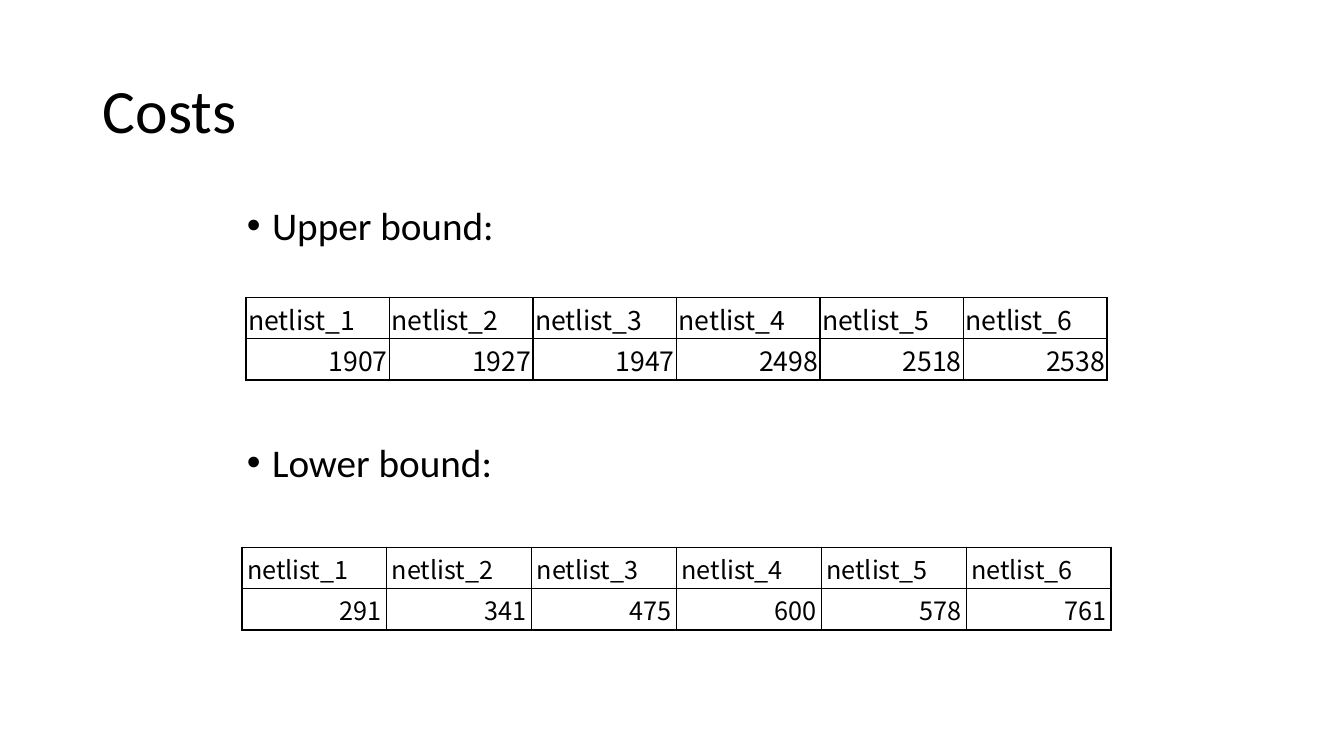
from lxml import etree
from pptx import Presentation
from pptx.dml.color import RGBColor
from pptx.enum import text
from pptx.oxml import ns
from pptx.util import Inches, Pt

BLACK = RGBColor(0, 0, 0)
WHITE = RGBColor(255, 255, 255)
TEXT_FONT = "Calibri"
TABLE_FONT = "Noto Sans CJK SC"
BORDER_WIDTH = Pt(1)
ROW_HEIGHT = 0.41

UPPER_COSTS = [1907, 1927, 1947, 2498, 2518, 2538]
LOWER_COSTS = [291, 341, 475, 600, 578, 761]


def add_run(paragraph, content, font_name, size):
    """Add one black run to a paragraph."""
    run = paragraph.add_run()
    run.text = content
    run.font.name = font_name
    run.font.size = Pt(size)
    run.font.color.rgb = BLACK


def place_title(slide, box, content):
    """Move the title placeholder to its box and fill it."""
    title = slide.shapes.title
    title.left, title.top, title.width, title.height = map(Inches, box)
    title.text_frame.vertical_anchor = text.MSO_ANCHOR.MIDDLE
    paragraph = title.text_frame.paragraphs[0]
    paragraph.alignment = text.PP_ALIGN.LEFT
    paragraph.line_spacing = 0.9
    add_run(paragraph, content, TEXT_FONT, 44)


def add_bullet(slide, box, content):
    """Add a text box that holds one bulleted heading."""
    frame = slide.shapes.add_textbox(*map(Inches, box)).text_frame
    frame.word_wrap = True
    paragraph = frame.paragraphs[0]
    paragraph.line_spacing = 0.9
    paragraph.space_before = Pt(10)
    properties = paragraph._p.get_or_add_pPr()
    properties.set("marL", str(Inches(0.25)))
    properties.set("indent", str(-Inches(0.25)))
    etree.SubElement(properties, ns.qn("a:buFont"), typeface="Arial")
    etree.SubElement(properties, ns.qn("a:buChar"), char="•")
    add_run(paragraph, content, TEXT_FONT, 28)


def add_borders(cell):
    """Draw a black line on all four sides of a cell."""
    properties = cell._tc.get_or_add_tcPr()
    for side in ("lnL", "lnR", "lnT", "lnB"):
        line = etree.SubElement(properties, ns.qn(f"a:{side}"), w=str(BORDER_WIDTH))
        fill = etree.SubElement(line, ns.qn("a:solidFill"))
        etree.SubElement(fill, ns.qn("a:srgbClr"), val=str(BLACK))


def add_cost_table(slide, box, costs, size, margins):
    """Add a table with netlist names above their costs."""
    rows = [[f"netlist_{number}" for number in range(1, len(costs) + 1)], costs]
    alignments = [text.PP_ALIGN.LEFT, text.PP_ALIGN.RIGHT]
    table = slide.shapes.add_table(len(rows), len(costs), *map(Inches, box)).table
    table.first_row = table.horz_banding = False
    for row_index, (values, alignment) in enumerate(zip(rows, alignments)):
        table.rows[row_index].height = Inches(ROW_HEIGHT)
        for column_index, value in enumerate(values):
            cell = table.cell(row_index, column_index)
            (cell.margin_left, cell.margin_top,
             cell.margin_right, cell.margin_bottom) = map(Inches, margins)
            cell.vertical_anchor = text.MSO_ANCHOR.MIDDLE
            add_borders(cell)
            cell.fill.background()
            paragraph = cell.text_frame.paragraphs[0]
            paragraph.alignment = alignment
            add_run(paragraph, str(value), TABLE_FONT, size)


def build_costs_slide(presentation):
    """Build the slide with the upper and lower cost bounds."""
    slide = presentation.slides.add_slide(presentation.slide_layouts[5])
    slide.background.fill.solid()
    slide.background.fill.fore_color.rgb = WHITE
    place_title(slide, (0.92, 0.4, 11.5, 1.45), "Costs")
    add_bullet(slide, (2.35, 2, 8.62, 0.7), "Upper bound:")
    add_cost_table(slide, (2.44, 2.95, 8.54, 2 * ROW_HEIGHT), UPPER_COSTS, 19,
                   (0.02, 0.02, 0.02, 0))
    add_bullet(slide, (2.35, 4.35, 8.62, 0.7), "Lower bound:")
    add_cost_table(slide, (2.4, 5.43, 8.62, 2 * ROW_HEIGHT), LOWER_COSTS, 18,
                   (0.05, 0, 0.05, 0))


presentation = Presentation()
presentation.slide_width = Inches(13.33)
presentation.slide_height = Inches(7.5)
build_costs_slide(presentation)
presentation.save("out.pptx")
